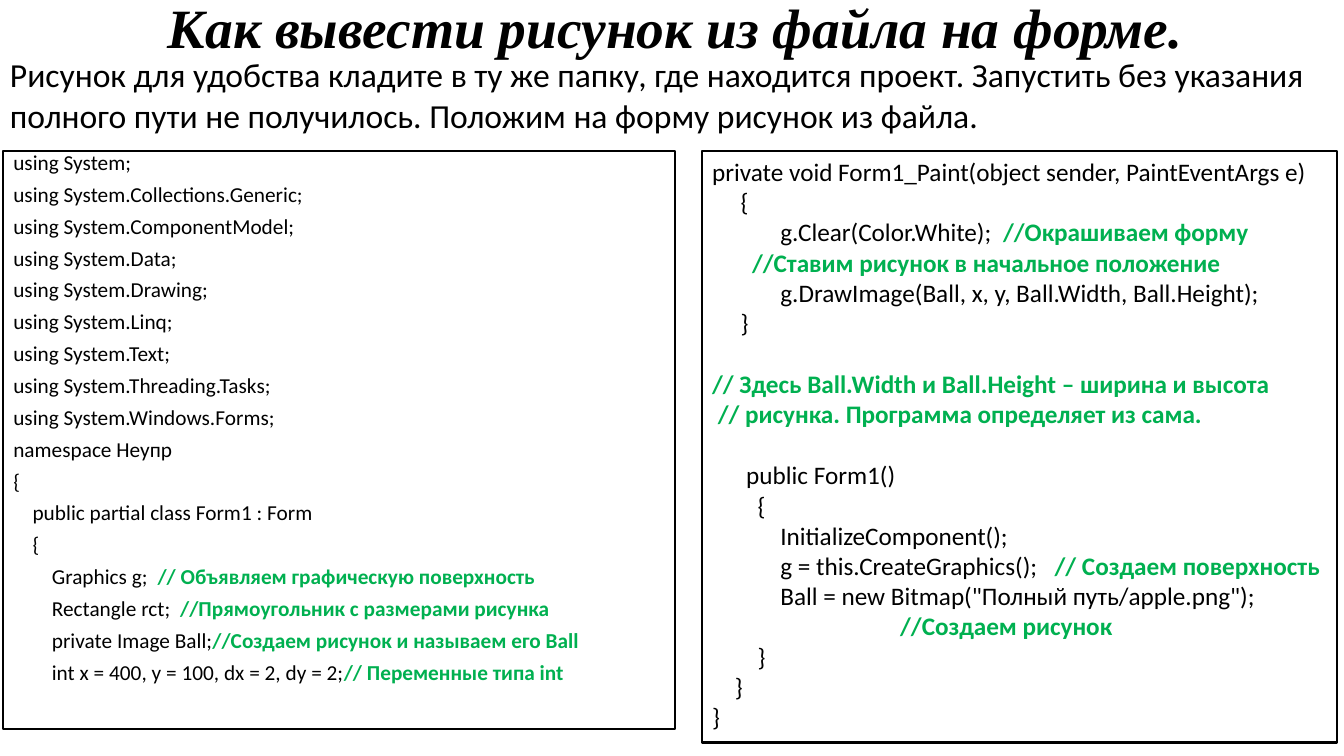
from dataclasses import dataclass

from pptx import Presentation
from pptx.dml.color import RGBColor as Color
from pptx.enum.shapes import MSO_SHAPE as Preset
from pptx.enum.text import MSO_ANCHOR as Anchor, PP_ALIGN as Align
from pptx.util import Inches, Pt

TITLE = "Как вывести рисунок из файла на форме."
ADVICE = (
    "Рисунок для удобства кладите в ту же папку, где находится проект. "
    "Запустить без указания полного пути не получилось. "
    "Положим на форму рисунок из файла."
)
DECLARATIONS = """\
using System;
using System.Collections.Generic;
using System.ComponentModel;
using System.Data;
using System.Drawing;
using System.Linq;
using System.Text;
using System.Threading.Tasks;
using System.Windows.Forms;
namespace Неупр
{
    public partial class Form1 : Form
    {
        Graphics g;  // Объявляем графическую поверхность
        Rectangle rct;  //Прямоугольник с размерами рисунка
        private Image Ball;//Создаем рисунок и называем его Ball
        int x = 400, y = 100, dx = 2, dy = 2;// Переменные типа int"""
PAINTING = """\
private void Form1_Paint(object sender, PaintEventArgs e)
     {
            g.Clear(Color.White);  //Окрашиваем форму
       //Ставим рисунок в начальное положение
            g.DrawImage(Ball, x, y, Ball.Width, Ball.Height);
     }

// Здесь Ball.Width и Ball.Height – ширина и высота
 // рисунка. Программа определяет из сама.

      public Form1()
        {
            InitializeComponent();
            g = this.CreateGraphics();   // Создаем поверхность
            Ball = new Bitmap("Полный путь/apple.png");
                                 //Создаем рисунок
        }
    }
}"""


@dataclass(frozen=True)
class Theme:
    ink: Color = Color(0, 0, 0)
    comment: Color = Color(0x00, 0xB0, 0x50)
    body_font: str = "Calibri"
    title_font: str = "Times New Roman"
    title_size: float = 39.6
    advice_size: float = 24
    small_code: float = 15.2
    large_code: float = 18
    border: float = 1.5
    line_height: float = 1.22


def add_text(paragraph, text, *, font, size, color, bold=False, italic=False):
    run = paragraph.add_run()
    run.text = text
    run.font.name = font
    run.font.size = Pt(size)
    run.font.color.rgb = color
    run.font.bold = bold
    run.font.italic = italic


class SlideBuilder:
    COLUMNS, ROWS = 400, 225

    def __init__(self, deck, theme):
        self.theme = theme
        self.slide = deck.slides.add_slide(deck.slide_layouts[6])
        self.column = deck.slide_width / self.COLUMNS
        self.row = deck.slide_height / self.ROWS

    def place(self, left, top, width, height):
        return (
            round(left * self.column),
            round(top * self.row),
            round(width * self.column),
            round(height * self.row),
        )

    def heading(self, text, area, *, spacing=1.0, align=Align.LEFT, anchor=Anchor.TOP, **style):
        frame = self.slide.shapes.add_textbox(*self.place(*area)).text_frame
        frame.word_wrap = True
        frame.vertical_anchor = anchor
        paragraph = frame.paragraphs[0]
        paragraph.alignment = align
        paragraph.line_spacing = spacing
        add_text(paragraph, text, color=self.theme.ink, **style)

    def code_panel(self, code, area, *, size, spacing=1.0, before=0):
        theme = self.theme
        panel = self.slide.shapes.add_shape(Preset.RECTANGLE, *self.place(*area))
        panel.shadow.inherit = False
        panel.fill.background()
        panel.line.color.rgb = theme.ink
        panel.line.width = Pt(theme.border)
        frame = panel.text_frame
        frame.word_wrap = True
        frame.vertical_anchor = Anchor.TOP
        paragraph, gap = frame.paragraphs[0], 0
        for number, line in enumerate(code.splitlines()):
            if not line:
                gap = size * theme.line_height
                continue
            if number:
                paragraph = frame.add_paragraph()
                paragraph.space_before = Pt(before + gap)
            gap = 0
            paragraph.alignment = Align.LEFT
            paragraph.line_spacing = spacing
            statement, slashes, remark = line.partition("//")
            if statement:
                add_text(paragraph, statement, font=theme.body_font, size=size, color=theme.ink)
            if slashes:
                add_text(paragraph, slashes + remark, font=theme.body_font, size=size,
                         color=theme.comment, bold=True)


def main():
    deck = Presentation()
    deck.slide_width, deck.slide_height = Inches(13.33), Inches(7.5)
    theme = Theme()
    page = SlideBuilder(deck, theme)
    page.heading(TITLE, (1, -1.5, 400, 21.3), spacing=0.9, align=Align.CENTER,
                 anchor=Anchor.MIDDLE, font=theme.title_font, size=theme.title_size,
                 bold=True, italic=True)
    page.code_panel(DECLARATIONS, (1, 45, 200, 172), size=theme.small_code,
                    spacing=0.7, before=10)
    page.code_panel(PAINTING, (209, 45, 189, 176), size=theme.large_code)
    page.heading(ADVICE, (0, 14.7, 398, 27.3), font=theme.body_font, size=theme.advice_size)
    deck.save("out.pptx")


if __name__ == "__main__":
    main()
